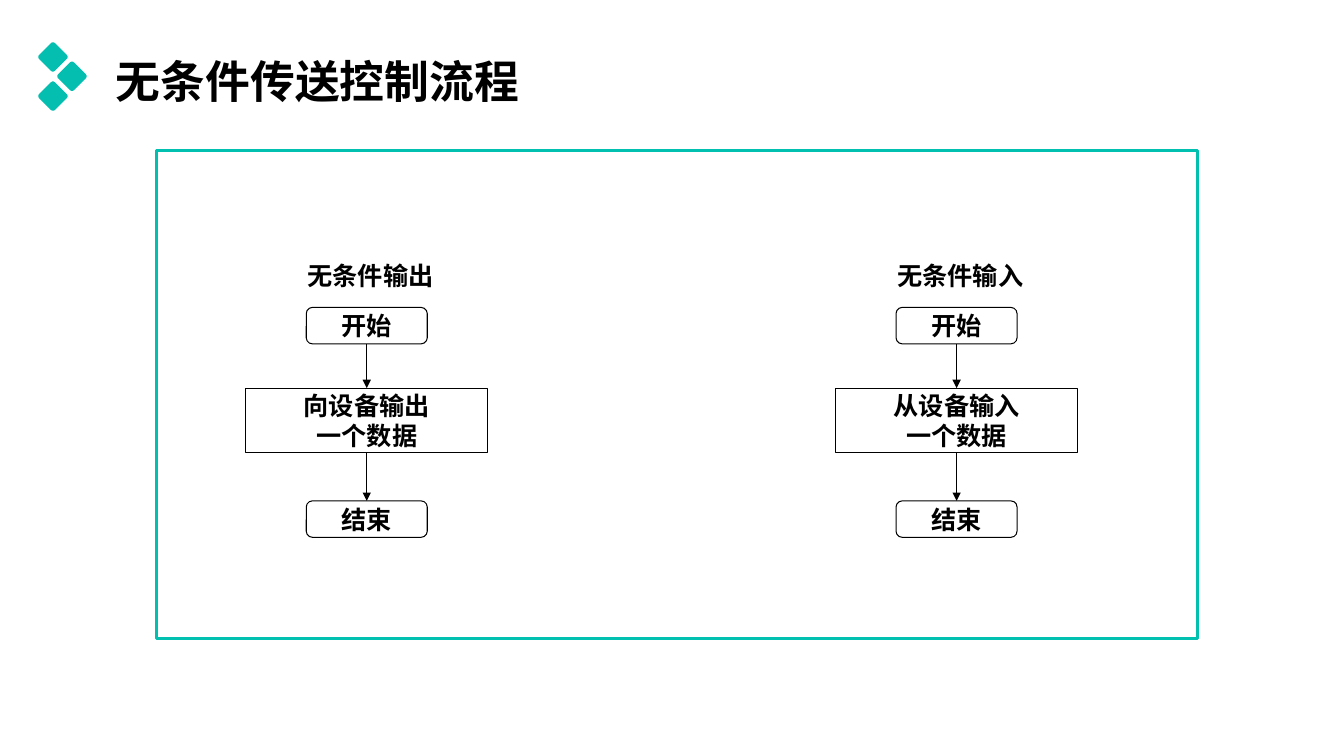
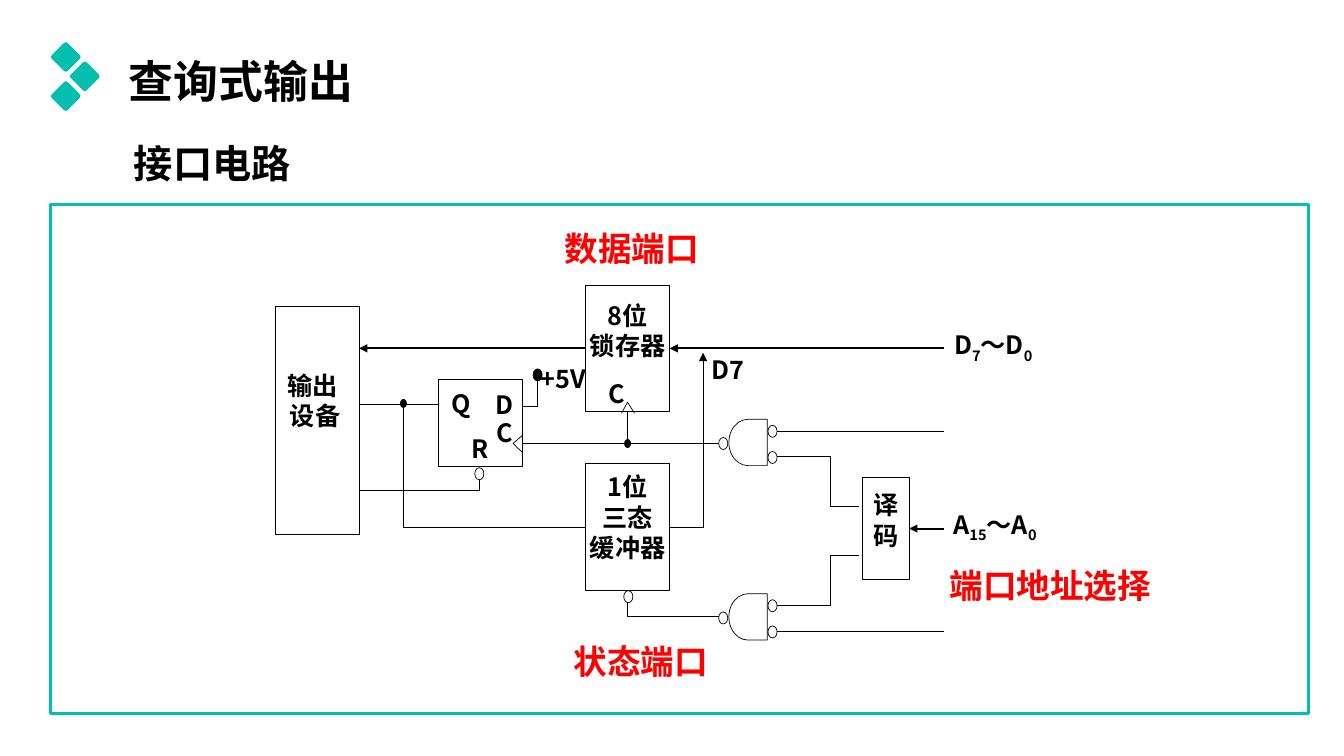
from dataclasses import dataclass

from lxml import etree
from pptx import Presentation
from pptx.dml import color
from pptx.enum import shapes, text
from pptx.oxml import ns
from pptx.util import Pt

FONT = "Noto Sans CJK SC"
BLACK, WHITE, RED = "000000", "FFFFFF", "FF0000"
MARK, FRAME = "04BEB0", "01C0B0"
SHAPE, ALIGN, ANCHOR = shapes.MSO_SHAPE, text.PP_ALIGN, text.MSO_ANCHOR
LEFT, CENTER, RIGHT = ALIGN.LEFT, ALIGN.CENTER, ALIGN.RIGHT
Point = tuple[float, float]


@dataclass
class Flow:
    center: float
    heading: str
    step: str


@dataclass
class Block:
    name: str
    left: float
    top: float
    width: float
    height: float
    text: str = ""
    inset: float = 0


@dataclass
class Label:
    text: str
    left: float
    top: float
    width: float
    height: float
    align: ALIGN = CENTER
    size: float = 18
    color: str = BLACK


@dataclass
class Wire:
    points: list[Point]
    arrow: bool = False


@dataclass
class Dot:
    x: float
    y: float
    fill: str = WHITE
    width: float = 6.5
    height: float = 8.6


FLOWS = [
    Flow(262, "无条件输出", "向设备输出\n一个数据"),
    Flow(683.3, "无条件输入", "从设备输入\n一个数据"),
]

BLOCKS = [
    Block("device", 196.5, 219, 60, 162.7, "输出\n设备", 45.5),
    Block("flip-flop", 313.2, 270.7, 60, 62.6),
    Block("latch", 418.3, 203.5, 60, 90.7, "8位\n锁存器", 10.8),
    Block("buffer", 418.3, 331.2, 60, 90.7, "1位\n三态\n缓冲器", 5.8),
    Block("decoder", 616.3, 341.2, 33.1, 72.7, "译\n码", 8.6),
]

LABELS = [
    Label("+5V", 380.2, 258.5, 44.6, 33),
    Label("R", 332.6, 309, 21, 27),
    Label("Q", 314.6, 276.5, 29.5, 27),
    Label("D\nC", 341.3, 277.2, 26, 56, RIGHT),
    Label("D7", 507.6, 252.7, 29.5, 44, LEFT),
    Label("C", 434.2, 269.3, 30, 27, LEFT),
    Label("D|7|～D|0", 677.5, 234.7, 64, 42.5),
    Label("A|15|～A|0", 674, 363, 73.4, 46),
    Label("数据端口", 402.5, 162, 100, 34, LEFT, 24, RED),
    Label("状态端口", 409, 457.2, 100, 34, LEFT, 24, RED),
    Label("端口地址选择", 677.5, 402.5, 148, 34, LEFT, 24, RED),
]

WIRES = [
    Wire([(256.5, 288.7), (313.2, 288.7)]),
    Wire([(373.2, 316.8), (516, 316.8)]),
    Wire([(553, 307.8), (674.6, 307.8)]),
    Wire([(553, 450.7), (674.6, 450.7)]),
    Wire([(448.3, 425), (448.3, 440.5), (516, 440.5)]),
    Wire([(383.8, 265), (383.8, 290.2), (373.2, 290.2)]),
    Wire([(288.4, 288.7), (288.4, 376.5), (418.3, 376.5)]),
    Wire([(256.5, 350.6), (342.7, 350.6), (342.7, 339)]),
    Wire([(478.3, 376.5), (502.2, 376.5), (502.2, 252)], arrow=True),
    Wire([(553, 326.2), (593.3, 326.2), (593.3, 361.4), (613.4, 361.4)]),
    Wire([(553, 432.5), (593.3, 432.5), (593.3, 396.7), (613.4, 396.7)]),
    Wire([(373.2, 323.3), (366.5, 316.8), (373.2, 311)]),
    Wire([(444, 295.2), (448.3, 287.3), (453.3, 295.2)]),
]

DOTS = [
    Dot(288.2, 288.2, BLACK, 4.3, 5.8),
    Dot(448.3, 316.8, BLACK, 4.3, 5.8),
    Dot(384, 267.8, BLACK),
    Dot(448.8, 426.2),
    Dot(342.4, 338.4),
]


def rgb(value: str) -> color.RGBColor:
    return color.RGBColor.from_string(value)


def add_node(s, kind, left: float, top: float, width: float, height: float,
             fill: str = "", line: str = BLACK, weight: float = 0.5):
    sp = s.shapes.add_shape(kind, Pt(left), Pt(top), Pt(width), Pt(height))
    style_node(sp, fill, line, weight)
    return sp


def style_node(sp, fill: str, line: str, weight: float) -> None:
    sp.shadow.inherit = False
    if fill:
        sp.fill.solid()
        sp.fill.fore_color.rgb = rgb(fill)
    else:
        sp.fill.background()
    if line:
        sp.line.color.rgb = rgb(line)
        sp.line.width = Pt(weight)
    else:
        sp.line.fill.background()


def format_runs(tf, align, size: float = 18, ink: str = BLACK) -> None:
    for p in tf.paragraphs:
        p.alignment = align
        for r in p.runs:
            r.font.name, r.font.size, r.font.bold = FONT, Pt(size), True
            r.font.color.rgb = rgb(ink)
            ea = etree.SubElement(r._r.get_or_add_rPr(), ns.qn("a:ea"))
            ea.set("typeface", FONT)


def set_frame(tf, anchor, side: float, top: float) -> None:
    tf.word_wrap = True
    tf.vertical_anchor = anchor
    tf.margin_left = tf.margin_right = Pt(side)
    tf.margin_top, tf.margin_bottom = Pt(top), Pt(0)


def add_label(s, label: Label, anchor=ANCHOR.TOP):
    sp = s.shapes.add_textbox(Pt(label.left), Pt(label.top),
                              Pt(label.width), Pt(label.height))
    tf = sp.text_frame
    set_frame(tf, anchor, 0.72, 0.72)
    if "|" in label.text:
        for i, piece in enumerate(label.text.split("|")):
            r = tf.paragraphs[0].add_run()
            r.text = piece
            if i % 2:
                r._r.get_or_add_rPr().set("baseline", "-25000")
    else:
        tf.text = label.text
    format_runs(tf, label.align, label.size, label.color)
    return tf


def add_arrowhead(sp) -> None:
    ln = sp._element.spPr.find(ns.qn("a:ln"))
    etree.SubElement(ln, ns.qn("a:tailEnd")).set("type", "triangle")


def add_line(s, start: Point, end: Point, weight: float = 0.5,
             arrow: bool = False):
    cx = s.shapes.add_connector(shapes.MSO_CONNECTOR.STRAIGHT,
                                *(Pt(v) for v in (*start, *end)))
    cx.line.color.rgb = rgb(BLACK)
    cx.line.width = Pt(weight)
    etree.SubElement(cx._element.spPr, ns.qn("a:effectLst"))
    if arrow:
        add_arrowhead(cx)
    return cx


def add_wire(s, wire: Wire) -> None:
    if len(wire.points) == 2:
        add_line(s, *wire.points, arrow=wire.arrow)
        return
    points = [(Pt(x), Pt(y)) for x, y in wire.points]
    outline = s.shapes.build_freeform(*points[0])
    outline.add_line_segments(points[1:], close=False)
    sp = outline.convert_to_shape()
    style_node(sp, "", BLACK, 0.5)
    if wire.arrow:
        add_arrowhead(sp)


def add_dot(s, dot: Dot) -> None:
    add_node(s, SHAPE.OVAL, dot.x - dot.width / 2, dot.y - dot.height / 2,
             dot.width, dot.height, dot.fill)


def add_gate(s, top: float) -> None:
    sp = add_node(s, SHAPE.FLOWCHART_DELAY, 520.6, top, 27.4, 33.1, WHITE)
    sp.rotation = 180
    for x, dy in ((551.8, 8.6), (551.8, 27.3), (516.6, 17.3)):
        add_dot(s, Dot(x, top + dy))


def start_slide(prs, title: str, x: float, frame: tuple[float, ...]):
    s = prs.slides.add_slide(prs.slide_layouts[6])
    add_node(s, SHAPE.RECTANGLE, *frame, line=FRAME, weight=2.25)
    side = 16
    for dx, cy in ((0, 40.7), (13.6, 54.5), (0, 68.7)):
        sp = add_node(s, SHAPE.ROUNDED_RECTANGLE, x + dx - side / 2,
                      cy - side / 2, side, side, MARK, line="")
        sp.adjustments[0] = 0.12
        sp.rotation = 45
    tf = add_label(s, Label(title, x + 44.3, 7.2, 820, 104.4, LEFT, 32),
                   ANCHOR.MIDDLE)
    tf.paragraphs[0].line_spacing = 0.9
    return s


def add_flow(s, flow: Flow) -> None:
    add_label(s, Label(flow.heading, flow.center - 43, 185, 108, 23, LEFT))
    steps = (
        (SHAPE.FLOWCHART_ALTERNATE_PROCESS, "开始", 219.6, 86.4, 26),
        (SHAPE.FLOWCHART_PROCESS, flow.step, 277.2, 173, 46),
        (SHAPE.FLOWCHART_ALTERNATE_PROCESS, "结束", 357.8, 86.4, 26),
    )
    previous = None
    for kind, words, top, width, height in steps:
        sp = add_node(s, kind, flow.center - width / 2, top, width, height,
                      WHITE, weight=0.75)
        set_frame(sp.text_frame, ANCHOR.MIDDLE, 1.44, 0)
        sp.text_frame.text = words
        format_runs(sp.text_frame, CENTER)
        if previous is not None:
            cx = add_line(s, (0, 0), (0, 0), 0.75, arrow=True)
            cx.begin_connect(previous, 2)
            cx.end_connect(sp, 0)
        previous = sp


def add_block(s, block: Block):
    sp = add_node(s, SHAPE.RECTANGLE, block.left, block.top,
                  block.width, block.height)
    if block.text:
        set_frame(sp.text_frame, ANCHOR.TOP, 0.72, block.inset)
        sp.text_frame.text = block.text
        format_runs(sp.text_frame, CENTER)
    return sp


def add_circuit(s) -> None:
    blocks = {block.name: add_block(s, block) for block in BLOCKS}
    upper, lower = blocks["device"].text_frame.paragraphs
    upper._p.get_or_add_pPr().set("marR", str(Pt(6)))
    lower._p.get_or_add_pPr().set("marL", str(Pt(3)))

    for wire in WIRES:
        add_wire(s, wire)
    latch, decoder = blocks["latch"], blocks["decoder"]
    add_line(s, (478.3, 248.85), (256.5, 248.85), 1.5,
             arrow=True).begin_connect(latch, 1)
    add_line(s, (674.6, 248.85), (478.3, 248.85), 1.5,
             arrow=True).end_connect(latch, 3)
    add_line(s, (674.6, 377.55), (649.4, 377.55), 1.5,
             arrow=True).end_connect(decoder, 3)
    add_line(s, (448.3, 316.8), (448.3, 294.2)).end_connect(latch, 2)

    for top in (299.5, 424.1):
        add_gate(s, top)
    for dot in DOTS:
        add_dot(s, dot)
    for label in LABELS:
        tf = add_label(s, label)
        for p in tf.paragraphs[1:]:
            p.line_spacing = 0.96


def main() -> None:
    prs = Presentation()
    prs.slide_width, prs.slide_height = Pt(960), Pt(540)

    s = start_slide(prs, "无条件传送控制流程", 37.8, (111.6, 107.5, 744, 348.5))
    for flow in FLOWS:
        add_flow(s, flow)

    s = start_slide(prs, "查询式输出", 47, (36, 146.2, 898.8, 363.6))
    tf = add_label(s, Label("接口电路", 95, 102.3, 640, 57, LEFT, 28))
    tf.paragraphs[0].line_spacing = 0.9
    add_circuit(s)

    prs.save("out.pptx")


if __name__ == "__main__":
    main()
